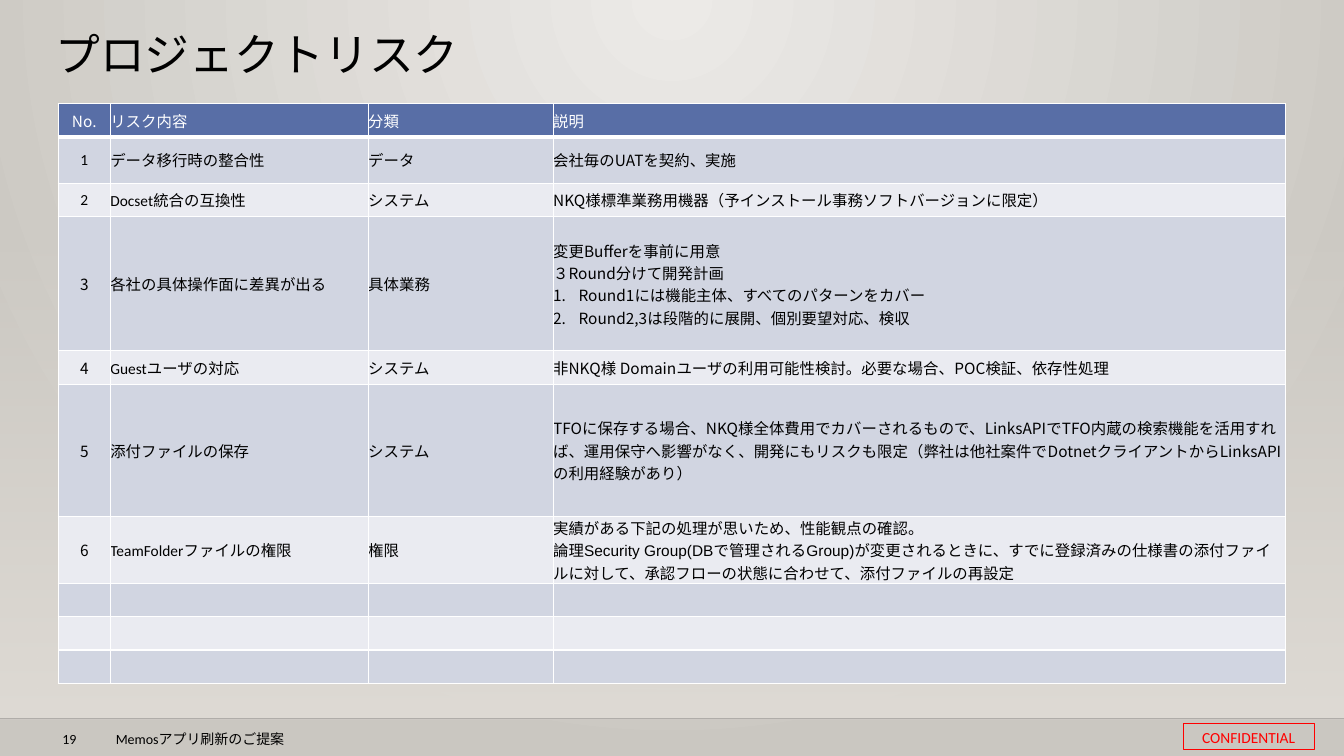
import pptx
import pptx.util
import pptx.dml.color
import pptx.enum.shapes
import pptx.enum.text
import pptx.oxml
import pptx.oxml.ns
from lxml import etree

Cm = pptx.util.Cm
Pt = pptx.util.Pt
RGBColor = pptx.dml.color.RGBColor
PP_ALIGN = pptx.enum.text.PP_ALIGN
MSO_ANCHOR = pptx.enum.text.MSO_ANCHOR
qn = pptx.oxml.ns.qn

BLACK = RGBColor(0x00, 0x00, 0x00)
WHITE = RGBColor(0xFF, 0xFF, 0xFF)
RED = RGBColor(0xFF, 0x00, 0x00)
RULE = RGBColor(0x00, 0x00, 0x01)
HEADER = RGBColor(0x58, 0x6E, 0xA6)
BAND_DARK = RGBColor(0xD1, 0xD5, 0xE1)
BAND_LIGHT = RGBColor(0xEA, 0xEB, 0xF1)
GLOW = RGBColor(0xEC, 0xEA, 0xE7)
EDGE = RGBColor(0xCA, 0xC7, 0xC1)
HAZE = RGBColor(0xDF, 0xDB, 0xD5)
CALIBRI = "Calibri"
NOTO = "Noto Sans CJK JP"
ARIAL = "Arial"


def add_run(p, text, size, color, font=CALIBRI):
    r = p.add_run()
    r.text = text
    r.font.size = Pt(size)
    r.font.bold = False
    r.font.color.rgb = color
    r.font.name = font
    etree.SubElement(r.font._element, qn("a:ea")).set("typeface", NOTO)


def set_gradient(fill, holder, stops, direction):
    fill.gradient()
    old = holder.xpath(".//a:gradFill")[0]
    gs = "".join(
        f'<a:gs pos="{pos}"><a:srgbClr val="{color}"><a:alpha val="{alpha}"/></a:srgbClr></a:gs>'
        for pos, color, alpha in stops)
    new = pptx.oxml.parse_xml(
        f'<a:gradFill {pptx.oxml.ns.nsdecls("a")} rotWithShape="1"><a:gsLst>{gs}</a:gsLst>{direction}</a:gradFill>')
    old.getparent().replace(old, new)


prs = pptx.Presentation()
prs.slide_width = Cm(33.87)
prs.slide_height = Cm(19.05)
s = prs.slides.add_slide(prs.slide_layouts[5])

set_gradient(s.background.fill, s.element, [(0, GLOW, 100000), (100000, EDGE, 100000)],
             '<a:path path="circle"><a:fillToRect l="43000" t="0" r="43000" b="100000"/></a:path>')

title = s.shapes.title
haze = s.shapes.add_shape(pptx.enum.shapes.MSO_SHAPE.RECTANGLE, 0, Cm(5.61), prs.slide_width, Cm(12.52))
haze.shadow.inherit = False
haze.line.fill.background()
set_gradient(haze.fill, haze._element, [(0, HAZE, 0), (100000, HAZE, 100000)],
             '<a:lin ang="5400000" scaled="0"/>')
title._element.addprevious(haze._element)

rule = s.shapes.add_connector(pptx.enum.shapes.MSO_CONNECTOR.STRAIGHT, 0, Cm(18.11), prs.slide_width, Cm(18.11))
rule.line.width = Pt(1)
rule.line.color.rgb = RULE
etree.SubElement(rule._element.xpath(".//a:ln//a:srgbClr")[0], qn("a:alpha")).set("val", "20000")
etree.SubElement(rule._element.spPr, qn("a:effectLst"))

for left, width, text in [(1.32, 1.02, "19"), (2.67, 14.4, "Memosアプリ刷新のご提案")]:
    sp = s.shapes.add_textbox(Cm(left), Cm(18.29), Cm(width), Cm(0.48))
    sp.text_frame.word_wrap = True
    add_run(sp.text_frame.paragraphs[0], text, 10, BLACK)

stamp = s.shapes.add_shape(pptx.enum.shapes.MSO_SHAPE.RECTANGLE, Cm(29.82), Cm(18.24), Cm(3.3), Cm(0.66))
stamp.shadow.inherit = False
stamp.fill.background()
stamp.line.color.rgb = RED
stamp.line.width = Pt(0.75)
tf = stamp.text_frame
tf.margin_left = tf.margin_right = tf.margin_top = tf.margin_bottom = Cm(0.1)
tf.vertical_anchor = MSO_ANCHOR.MIDDLE
tf.paragraphs[0].alignment = PP_ALIGN.CENTER
add_run(tf.paragraphs[0], "CONFIDENTIAL", 11, RED)

title.left, title.top, title.width, title.height = Cm(1.14), Cm(0.71), Cm(25.91), Cm(1.9)
tf = title.text_frame
tf.auto_size = pptx.enum.text.MSO_AUTO_SIZE.NONE
tf.vertical_anchor = MSO_ANCHOR.TOP
p = tf.paragraphs[0]
p.alignment = PP_ALIGN.LEFT
p.line_spacing = 0.9
add_run(p, "プロジェクトリスク", 32, BLACK)

risks = [
    ("No.", "リスク内容", "分類", ["説明"]),
    ("1", "データ移行時の整合性", "データ", ["会社毎のUATを契約、実施"]),
    ("2", "Docset統合の互換性", "システム",
     ["NKQ様標準業務用機器（予インストール事務ソフトバージョンに限定）"]),
    ("3", "各社の具体操作面に差異が出る", "具体業務",
     ["変更Bufferを事前に用意",
      "３Round分けて開発計画",
      "Round1には機能主体、すべてのパターンをカバー",
      "Round2,3は段階的に展開、個別要望対応、検収"]),
    ("4", "Guestユーザの対応", "システム",
     ["非NKQ様 Domainユーザの利用可能性検討。必要な場合、POC検証、依存性処理"]),
    ("5", "添付ファイルの保存", "システム",
     ["TFOに保存する場合、NKQ様全体費用でカバーされるもので、LinksAPIでTFO内蔵の検索機能を活用"
      "すれば、運用保守へ影響がなく、開発にもリスクも限定（弊社は他社案件でDotnetクライアントから"
      "LinksAPIの利用経験があり）"]),
    ("6", "TeamFolderファイルの権限", "権限",
     ["実績がある下記の処理が思いため、性能観点の確認。",
      "論理Security Group(DBで管理されるGroup)が変更されるときに、すでに登録済みの仕様書の添付ファ"
      "イルに対して、承認フローの状態に合わせて、添付ファイルの再設定"]),
]
row_heights = [0.84, 1.17, 0.84, 3.38, 0.84, 3.33, 1.69, 0.84, 0.84, 0.84]
col_widths = [1.31, 6.5, 4.66, 18.45]
col_fonts = [NOTO, CALIBRI, CALIBRI, NOTO]
special_fonts = {(1, 0, 0): CALIBRI, (2, 0, 0): CALIBRI, (6, 3, 1): ARIAL}

table = s.shapes.add_table(len(row_heights), len(col_widths), Cm(1.47), Cm(2.61),
                           Cm(sum(col_widths)), Cm(sum(row_heights))).table
table.first_row = False
table.horz_banding = False
for col, width in zip(table.columns, col_widths):
    col.width = Cm(width)

for i, height in enumerate(row_heights):
    table.rows[i].height = Cm(height)
    for j, font in enumerate(col_fonts):
        cell = table.cell(i, j)
        cell.margin_left = cell.margin_right = cell.margin_top = cell.margin_bottom = 0
        cell.vertical_anchor = MSO_ANCHOR.MIDDLE
        cell.fill.solid()
        cell.fill.fore_color.rgb = HEADER if i == 0 else BAND_DARK if i % 2 else BAND_LIGHT
        tcPr = cell._tc.get_or_add_tcPr()
        for k, side in enumerate(["lnL", "lnR", "lnT", "lnB"]):
            thick = (i, side) in [(0, "lnB"), (1, "lnT")]
            ln = etree.Element(qn(f"a:{side}"), w=str(Pt(3 if thick else 1)))
            etree.SubElement(etree.SubElement(ln, qn("a:solidFill")), qn("a:srgbClr")).set("val", str(WHITE))
            tcPr.insert(k, ln)
        if i >= len(risks):
            continue
        lines = risks[i][j] if j == 3 else [risks[i][j]]
        for k, text in enumerate(lines):
            p = cell.text_frame.paragraphs[0] if k == 0 else cell.text_frame.add_paragraph()
            p.alignment = PP_ALIGN.CENTER if j == 0 else PP_ALIGN.LEFT
            if text.startswith("Round"):
                pPr = p._p.get_or_add_pPr()
                pPr.set("marL", str(Cm(0.64)))
                pPr.set("indent", str(-Cm(0.64)))
                etree.SubElement(pPr, qn("a:buFont")).set("typeface", "+mj-lt")
                etree.SubElement(pPr, qn("a:buAutoNum")).set("type", "arabicPeriod")
            add_run(p, text, 11, WHITE if i == 0 else BLACK, special_fonts.get((i, j, k), font))

prs.save("out.pptx")
